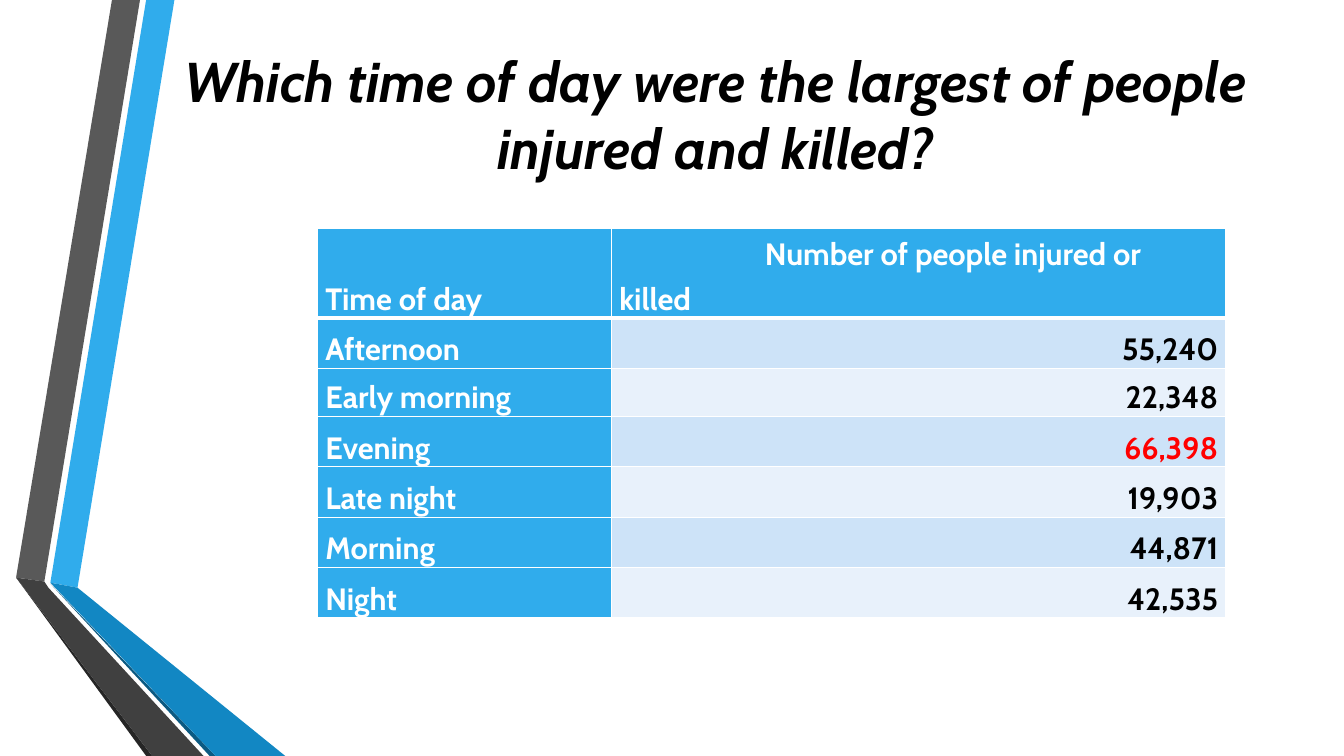
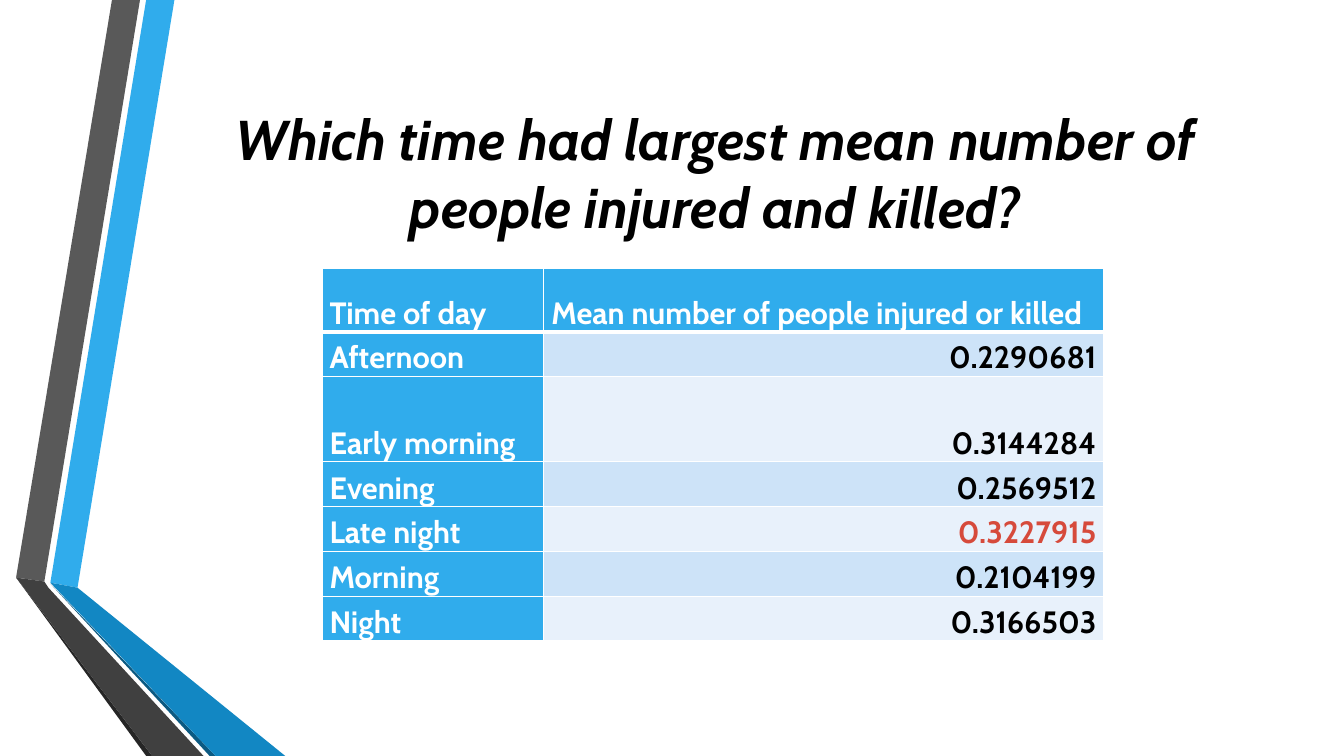
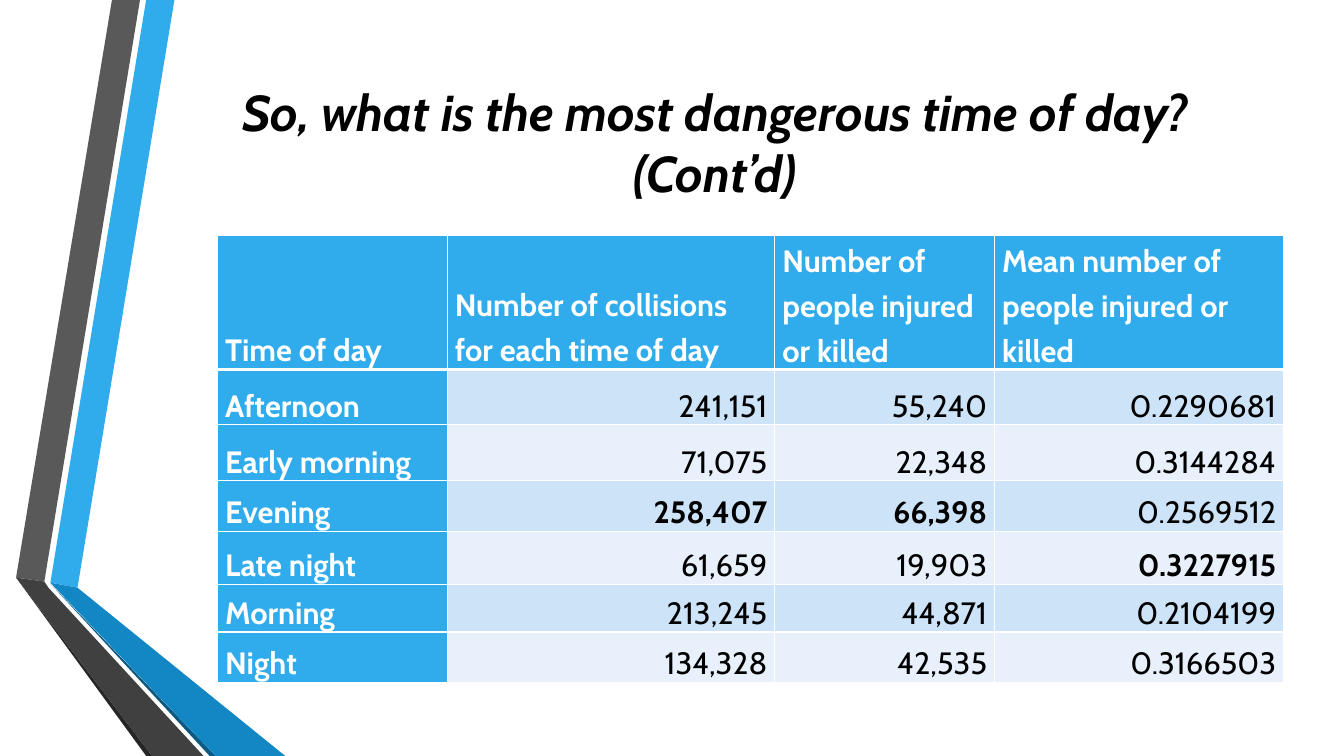
from lxml.etree import SubElement
from pptx import Presentation
from pptx.dml.color import RGBColor
from pptx.enum.text import MSO_ANCHOR, PP_ALIGN
from pptx.oxml.ns import qn
from pptx.util import Pt

FONT = "Cabin"
COLORS = {
    "text": "000000",
    "white": "FFFFFF",
    "blue": "30ACEC",
    "deep_blue": "1287C3",
    "navy": "0C5A82",
    "gray": "595959",
    "charcoal": "404040",
    "near_black": "262626",
    "odd_row": "CDE3F8",
    "even_row": "E8F1FB",
    "red": "FF0000",
    "brick": "D64A3B",
}
# Folded ribbons at the left edge, from back to front, in points
RIBBONS = [
    ("blue", [(36, 416.2), (55.4, 419.8), (124.6, 0), (104.4, 0)]),
    ("gray", [(100, 0), (80, 0), (11.5, 412.6), (31.7, 415.4)]),
    ("near_black", [(11.5, 412.6), (104.4, 540), (108.7, 540)]),
    ("navy", [(36, 416.9), (149.8, 540), (154.1, 540)]),
    ("deep_blue", [(36, 416.2), (154.1, 540), (203.8, 540), (55.4, 419.8)]),
    ("charcoal", [(145.4, 540), (34.6, 419.8), (31.7, 415.4),
                  (11.5, 412.6), (108.7, 540)]),
]
TIMES = ["Afternoon", "Early morning", "Evening", "Late night", "Morning", "Night"]
COLLISIONS = [241151, 71075, 258407, 61659, 213245, 134328]
CASUALTIES = [55240, 22348, 66398, 19903, 44871, 42535]
MEANS = [0.2290681, 0.3144284, 0.2569512, 0.3227915, 0.2104199, 0.3166503]
CASUALTIES_HEADING = "Number of people injured or killed"
MEANS_HEADING = "Mean number of people injured or killed"


def rgb(name):
    return RGBColor.from_string(COLORS[name])


def style_font(font, size, color, bold=True, italic=False):
    font.name = FONT
    font.size = Pt(size)
    font.bold = bold
    font.italic = italic
    font.color.rgb = rgb(color)


def add_ribbons(slide):
    for color, corners in RIBBONS:
        start, *others = [(Pt(x), Pt(y)) for x, y in corners]
        outline = slide.shapes.build_freeform(*start)
        outline.add_line_segments(others, close=True)
        ribbon = outline.convert_to_shape()
        ribbon.shadow.inherit = False
        ribbon.fill.solid()
        ribbon.fill.fore_color.rgb = rgb(color)
        ribbon.line.fill.background()


def add_title(slide, text, top, size=40):
    frame = slide.shapes.add_textbox(Pt(116.5), Pt(top), Pt(789), Pt(138)).text_frame
    frame.word_wrap = True
    frame.vertical_anchor = MSO_ANCHOR.MIDDLE
    paragraph = frame.paragraphs[0]
    paragraph.text = text
    paragraph.alignment = PP_ALIGN.CENTER
    style_font(paragraph.font, size, "text", italic=True)


def add_titled_slide(deck, title, top, size=40):
    slide = deck.slides.add_slide(deck.slide_layouts[6])
    add_ribbons(slide)
    add_title(slide, title, top, size)
    return slide


def set_borders(cell, top, bottom):
    """Draw white cell edges; top and bottom are widths in points."""
    properties = cell._tc.get_or_add_tcPr()
    for edge, width in (("lnL", 1), ("lnR", 1), ("lnT", top), ("lnB", bottom)):
        line = SubElement(properties, qn(f"a:{edge}"), w=str(Pt(width)))
        fill = SubElement(line, qn("a:solidFill"))
        SubElement(fill, qn("a:srgbClr"), val=COLORS["white"])


def fill_cell(cell, text, row, fill, color, bold=True, align=PP_ALIGN.LEFT):
    set_borders(cell, top=3 if row == 1 else 1, bottom=3 if row == 0 else 1)
    cell.fill.solid()
    cell.fill.fore_color.rgb = rgb(fill)
    cell.vertical_anchor = MSO_ANCHOR.BOTTOM
    cell.margin_left = cell.margin_right = Pt(5.4)
    cell.margin_top = cell.margin_bottom = 0
    paragraph = cell.text_frame.paragraphs[0]
    paragraph.text = text
    paragraph.alignment = align
    paragraph.line_spacing = 1.2
    paragraph.space_after = Pt(10)
    style_font(paragraph.font, 22, color, bold)


def add_time_table(slide, left, top, widths, heights, measures,
                   peak_color="text", plain_bold=True):
    """Tabulate (heading, values) measures by time of day, stressing each peak."""
    table = slide.shapes.add_table(
        len(heights), len(widths), Pt(left), Pt(top),
        Pt(sum(widths)), Pt(sum(heights))).table
    table.horz_banding = False
    for column, width in zip(table.columns, widths):
        column.width = Pt(width)
    for row, height in zip(table.rows, heights):
        row.height = Pt(height)

    for row, label in enumerate(["Time of day", *TIMES]):
        fill_cell(table.cell(row, 0), label, row, "blue", "white")
    for column, (heading, values) in enumerate(measures, start=1):
        fill_cell(table.cell(0, column), heading, 0, "blue", "white")
        for row, value in enumerate(values, start=1):
            is_peak = value == max(values)
            fill_cell(table.cell(row, column), f"{value:,}", row,
                      "odd_row" if row % 2 else "even_row",
                      peak_color if is_peak else "text",
                      bold=is_peak or plain_bold, align=PP_ALIGN.RIGHT)
    return table


def indent_first_line(cell, indent):
    properties = cell.text_frame.paragraphs[0]._p.get_or_add_pPr()
    properties.set("marL", "0")
    properties.set("indent", str(Pt(indent)))


def main():
    deck = Presentation()
    deck.slide_width, deck.slide_height = Pt(960), Pt(540)

    totals = add_titled_slide(
        deck, "Which time of day were the largest of people injured and killed?", 12)
    totals_table = add_time_table(
        totals, 227, 163, [210, 438.5], [64, 36, 34.5, 36, 36, 36, 36],
        [(CASUALTIES_HEADING, CASUALTIES)], peak_color="red")
    indent_first_line(totals_table.cell(0, 1), 104)

    averages = add_titled_slide(
        deck, "Which time had largest mean number of people injured and killed?", 54)
    add_time_table(
        averages, 230, 192, [158.5, 400], [45, 32, 61, 32, 32, 32, 32],
        [(MEANS_HEADING, MEANS)], peak_color="brick")

    summary = add_titled_slide(
        deck, "So, what is the most dangerous time of day? (Cont’d)", 32.5, size=36)
    add_time_table(
        summary, 155.5, 168, [164, 234, 157, 206.5], [96, 39.5, 40, 36, 38, 34, 36],
        [("Number of collisions for each time of day", COLLISIONS),
         (CASUALTIES_HEADING, CASUALTIES),
         (MEANS_HEADING, MEANS)], plain_bold=False)

    deck.save("out.pptx")


if __name__ == "__main__":
    main()
